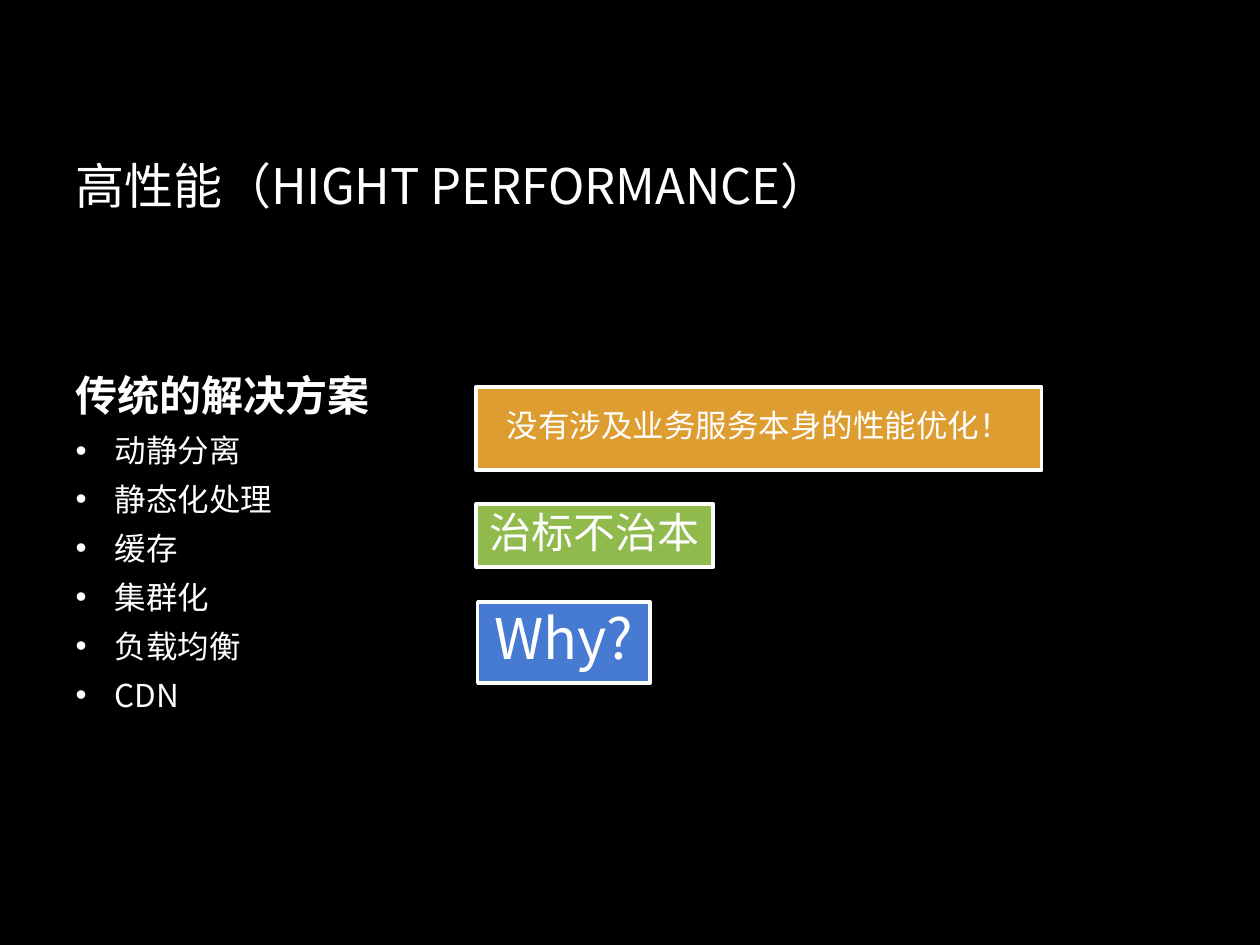
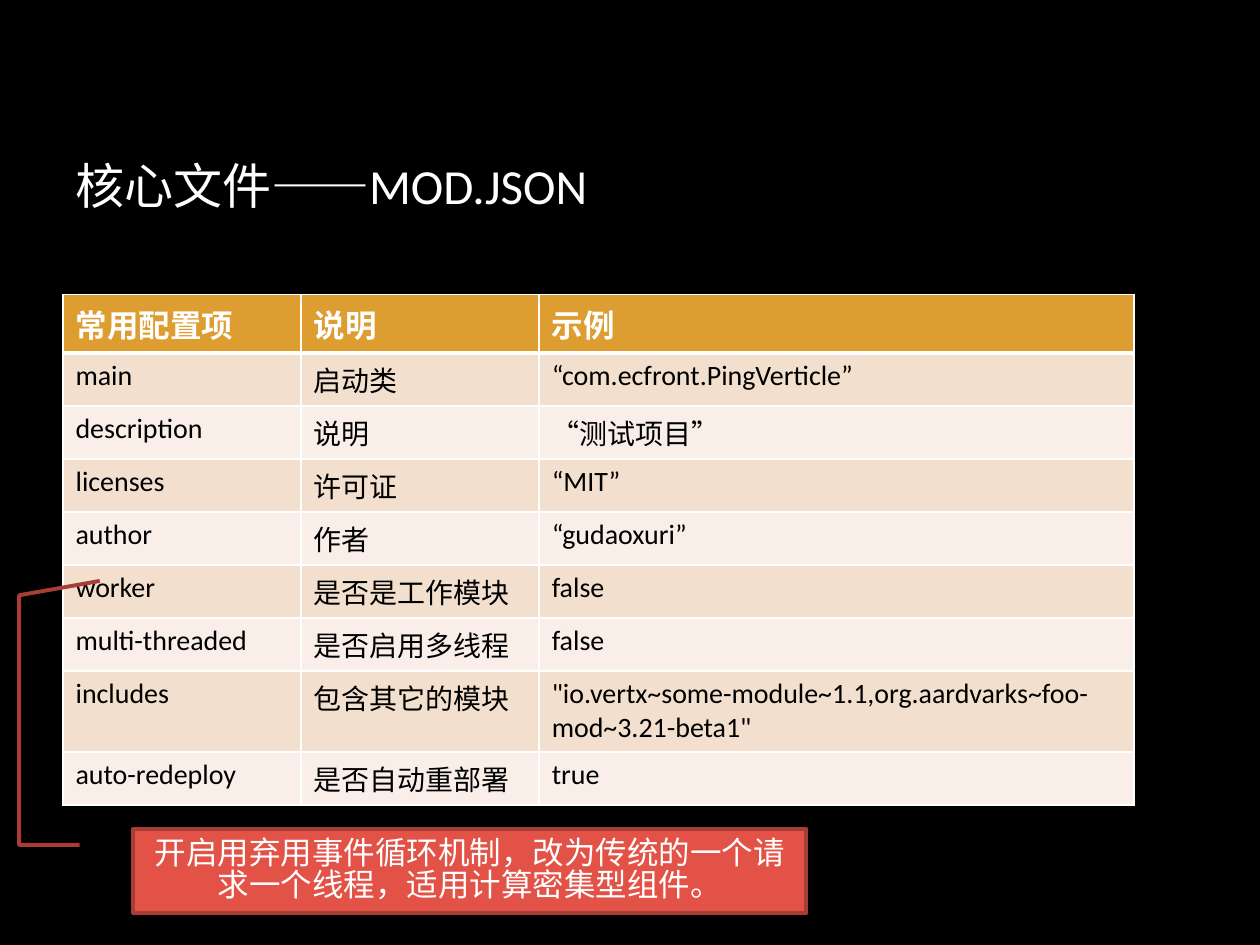
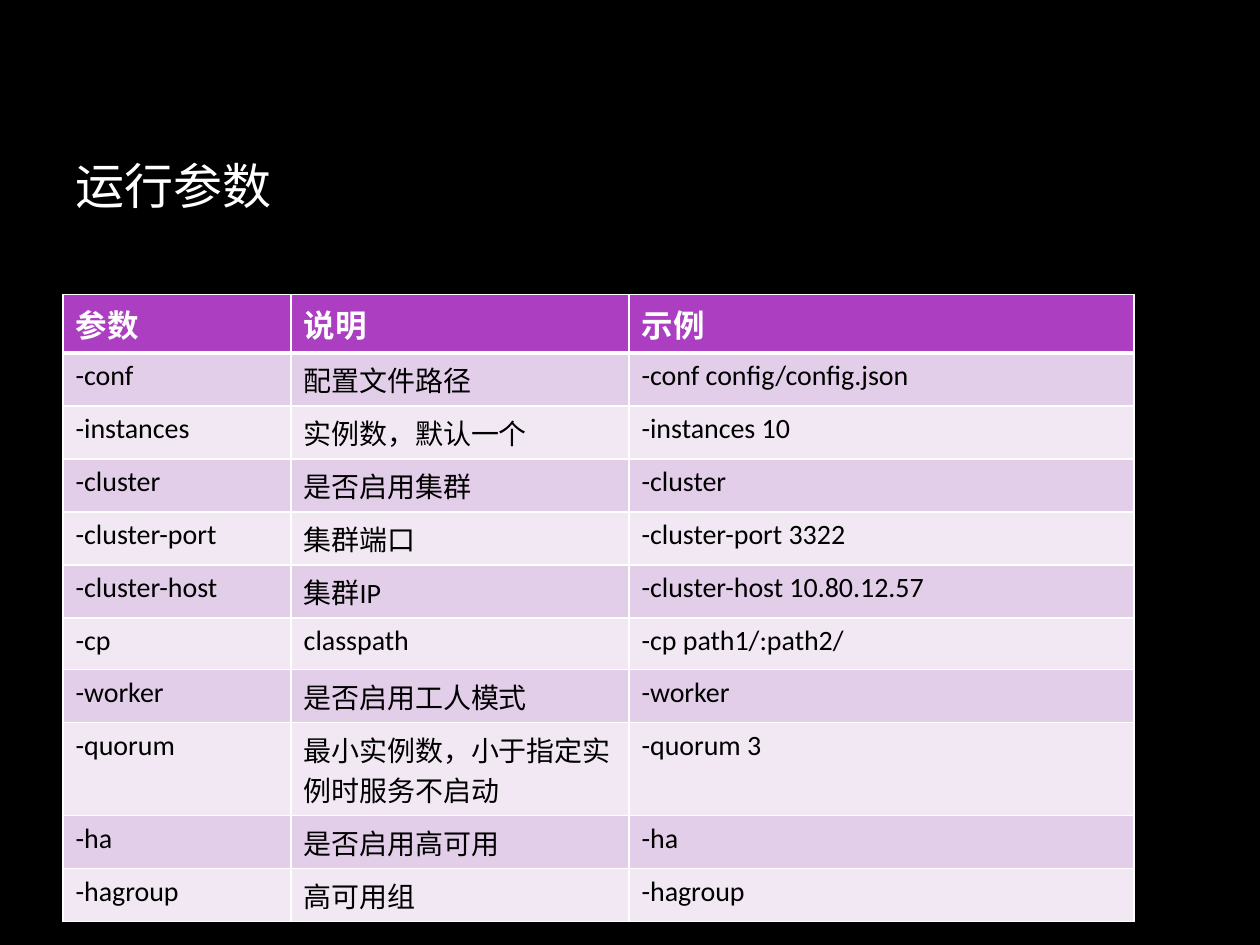
from lxml.etree import SubElement
from pptx import Presentation
from pptx.dml.color import RGBColor
from pptx.enum.shapes import MSO_SHAPE
from pptx.enum.text import MSO_ANCHOR, MSO_AUTO_SIZE, PP_ALIGN
from pptx.oxml.ns import qn
from pptx.util import Cm, Pt

HEX = {
    "black": "000000", "white": "FFFFFF", "amber": "DD9D31", "green": "90BA4C",
    "blue": "477BD1", "red": "E25247", "brick": "A73D35", "sand": "F2DFCE",
    "cream": "F9EFE8", "purple": "AC3EC1", "lilac": "E3CEE9", "mist": "F1E8F4",
}
HAN, LATIN = "Noto Sans CJK SC", "Calibri"
LEFT, WIDTH, TOP = 1.27, 21.59, 5.94
ROW = 1.04
TIGHT = 0.83  # line spacing that suits the tall Han font


def rgb(name):
    return RGBColor.from_string(HEX[name])


def put(item, left, top, width, height):
    item.left, item.top = Cm(left), Cm(top)
    item.width, item.height = Cm(width), Cm(height)


def mark(para):
    """Give a paragraph a hanging white bullet."""
    props = para._p.get_or_add_pPr()
    props.set("marL", str(Cm(0.79)))
    props.set("indent", str(-Cm(0.79)))
    tint = SubElement(props, qn("a:buClr"))
    SubElement(tint, qn("a:srgbClr"), val=HEX["white"])
    SubElement(props, qn("a:buFont"), typeface="Arial")
    SubElement(props, qn("a:buChar"), char="•")


def plain(para):
    """Clear the bullet and indent that a list placeholder gives."""
    props = para._p.get_or_add_pPr()
    props.set("marL", "0")
    props.set("indent", "0")
    SubElement(props, qn("a:buNone"))


def edge(cell, **widths):
    """Draw white cell borders, widths in points by side."""
    props = cell._tc.get_or_add_tcPr()
    for side in "LRTB":
        line = SubElement(props, qn(f"a:ln{side}"), w=str(Pt(widths.get(side, 1))))
        fill = SubElement(line, qn("a:solidFill"))
        SubElement(fill, qn("a:srgbClr"), val=HEX["white"])


class Deck:
    def __init__(self):
        self.show = Presentation()
        self.show.slide_width, self.show.slide_height = Cm(25.4), Cm(19.05)
        fill = self.show.slide_master.background.fill
        fill.solid()
        fill.fore_color.rgb = rgb("black")
        self.slide = None

    def page(self, title, layout=5, face=LATIN):
        self.slide = self.show.slides.add_slide(self.show.slide_layouts[layout])
        head = self.slide.shapes.title
        put(head, LEFT, 1.7, WIDTH, 4.04)
        self.frame(head)
        para = head.text_frame.paragraphs[0]
        para.alignment = PP_ALIGN.LEFT
        self.run(para, title, 28, face)

    def frame(self, item, wrap=True):
        text = item.text_frame
        text.word_wrap = wrap
        text.auto_size = MSO_AUTO_SIZE.NONE
        text.vertical_anchor = MSO_ANCHOR.MIDDLE

    def run(self, para, text, size, face=LATIN, color="white", bold=False):
        run = para.add_run()
        run.text = text
        font = run.font
        font.size, font.name, font.bold = Pt(size), face, bold
        font.color.rgb = rgb(color)
        SubElement(run._r.get_or_add_rPr(), qn("a:ea"), typeface=HAN)

    def list(self, head, items):
        body = self.slide.placeholders[1]
        put(body, LEFT, TOP, WIDTH, 10.13)
        self.frame(body)
        text = body.text_frame
        for num, item in enumerate([head, *items]):
            para = text.add_paragraph() if num else text.paragraphs[0]
            if num:
                mark(para)
            else:
                plain(para)
            para.line_spacing = TIGHT
            para.space_before, para.space_after = Pt(0), Pt(10)
            self.run(para, item, 18 if num else 24, HAN, bold=not num)

    def box(self, text, place, fill, size=18, face=HAN, line="white", width=2,
            wrap=True, kind=MSO_SHAPE.RECTANGLE):
        item = self.slide.shapes.add_shape(kind, *map(Cm, place))
        item.shadow.inherit = False
        item.fill.solid()
        item.fill.fore_color.rgb = rgb(fill)
        item.line.color.rgb = rgb(line)
        item.line.width = Pt(width)
        self.frame(item, wrap)
        para = item.text_frame.paragraphs[0]
        para.alignment = PP_ALIGN.CENTER
        para.line_spacing = TIGHT
        self.run(para, text, size, face)
        return item

    def table(self, rows, cols, head, bands):
        grid = self.slide.shapes.add_table(
            len(rows), len(cols), Cm(LEFT), Cm(TOP), Cm(WIDTH), Cm(ROW * len(rows))).table
        for col, width in zip(grid.columns, cols):
            col.width = Cm(width)
        for r, row in enumerate(rows):
            grid.rows[r].height = Cm(ROW)
            for c, text in enumerate(row):
                cell = grid.cell(r, c)
                edge(cell, T=3 if r == 1 else 1, B=1 if r else 3)
                cell.fill.solid()
                cell.fill.fore_color.rgb = rgb(bands[(r - 1) % 2] if r else head)
                self.run(cell.text_frame.paragraphs[0], text, 16 if r else 18,
                         color="black" if r else "white", bold=not r)


def speed(deck):
    deck.page("高性能（HIGHT PERFORMANCE）", layout=1, face=HAN)
    deck.list("传统的解决方案",
              ["动静分离", "静态化处理", "缓存", "集群化", "负载均衡", "CDN"])
    deck.box("没有涉及业务服务本身的性能优化！", (9.6, 7.8, 11.4, 1.68), "amber")
    deck.box("治标不治本", (9.6, 10.16, 4.78, 1.27), "green", 24, wrap=False)
    deck.box("Why?", (9.63, 12.14, 3.48, 1.63), "blue", 32, wrap=False)


def config(deck):
    deck.page("核心文件——MOD.JSON")
    deck.table([
        ("常用配置项", "说明", "示例"),
        ("main", "启动类", "“com.ecfront.PingVerticle”"),
        ("description", "说明", "“测试项目”"),
        ("licenses", "许可证", "“MIT”"),
        ("author", "作者", "“gudaoxuri”"),
        ("worker", "是否是工作模块", "false"),
        ("multi-threaded", "是否启用多线程", "false"),
        ("includes", "包含其它的模块",
         '"io.vertx~some-module~1.1,org.aardvarks~foo-mod~3.21-beta1"'),
        ("auto-redeploy", "是否自动重部署", "true"),
    ], (4.8, 4.8, 11.99), "amber", ("sand", "cream"))
    note = deck.box("开启用弃用事件循环机制，改为传统的一个请求一个线程，适用计算密集型组件。",
                    (2.69, 16.71, 13.56, 1.7), "red", face=LATIN, line="brick",
                    width=2.25, kind=MSO_SHAPE.LINE_CALLOUT_3)
    for num, value in enumerate((0.19, -0.08, 0.19, -0.17, -2.77, -0.17, -2.94, -0.05)):
        note.adjustments[num] = value


def params(deck):
    deck.page("运行参数")
    deck.table([
        ("参数", "说明", "示例"),
        ("-conf", "配置文件路径", "-conf config/config.json"),
        ("-instances", "实例数，默认一个", "-instances 10"),
        ("-cluster", "是否启用集群", "-cluster"),
        ("-cluster-port", "集群端口", "-cluster-port 3322"),
        ("-cluster-host", "集群IP", "-cluster-host 10.80.12.57"),
        ("-cp", "classpath", "-cp path1/:path2/"),
        ("-worker", "是否启用工人模式", "-worker"),
        ("-quorum", "最小实例数，小于指定实例时服务不启动", "-quorum 3"),
        ("-ha", "是否启用高可用", "-ha"),
        ("-hagroup", "高可用组", "-hagroup"),
    ], (4.6, 6.81, 10.18), "purple", ("lilac", "mist"))


def main():
    deck = Deck()
    for build in (speed, config, params):
        build(deck)
    deck.show.save("out.pptx")


if __name__ == "__main__":
    main()
